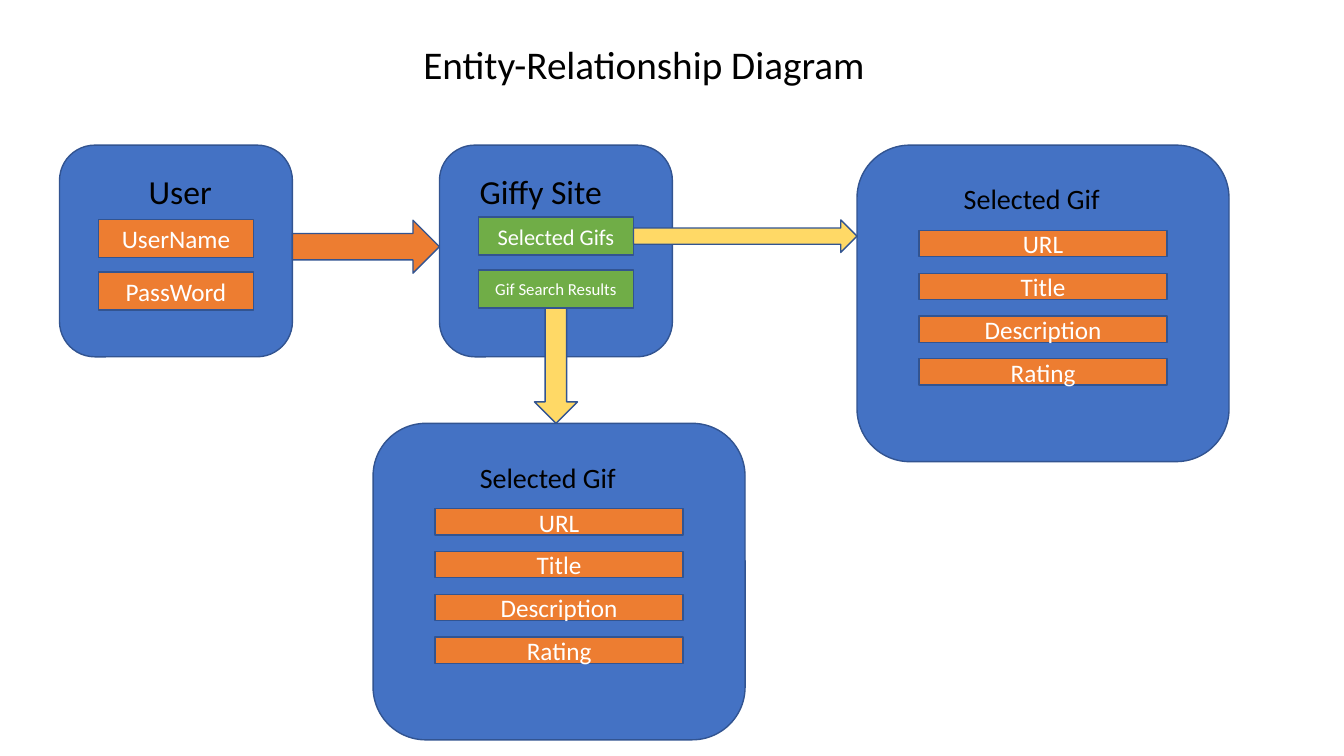
from dataclasses import dataclass

from pptx import Presentation
from pptx.dml.color import RGBColor
from pptx.enum.shapes import MSO_SHAPE
from pptx.enum.text import MSO_ANCHOR, PP_ALIGN
from pptx.util import Inches, Pt

ROUND, RECT = MSO_SHAPE.ROUNDED_RECTANGLE, MSO_SHAPE.RECTANGLE
RIGHT, DOWN = MSO_SHAPE.RIGHT_ARROW, MSO_SHAPE.DOWN_ARROW
LEFT, CENTER = PP_ALIGN.LEFT, PP_ALIGN.CENTER
TOP, MIDDLE = MSO_ANCHOR.TOP, MSO_ANCHOR.MIDDLE

FONT = "Calibri"
BLACK, WHITE, EDGE = "000000", "FFFFFF", "325491"
BLUE, ORANGE, GREEN, YELLOW = "4472C4", "ED7D31", "70AD47", "FFD966"

deck = Presentation()
deck.slide_width, deck.slide_height = Inches(13.33), Inches(7.5)
slide = deck.slides.add_slide(deck.slide_layouts[6])


@dataclass
class Box:
    x: float
    y: float
    w: float
    h: float

    def share(self, x: float, y: float, w: float, h: float) -> "Box":
        """Box inside this one, given as shares of its size."""
        return Box(self.x + x * self.w, self.y + y * self.h, w * self.w, h * self.h)

    def at(self) -> list[int]:
        return [round(v) for v in (self.x, self.y, self.w, self.h)]


PAGE = Box(0, 0, deck.slide_width, deck.slide_height)


@dataclass
class Style:
    """Layout of a card: head box, then rows, as shares of the card."""
    head: tuple[float, float, float, float]
    size: int
    first: float
    pitch: float
    row: float
    fill: str


@dataclass
class Card:
    box: Box
    title: str
    style: Style
    rows: list[tuple[str, int]]

    def field(self, n: int) -> Box:
        s = self.style
        return self.box.share(1 / 6, s.first + n * s.pitch, 2 / 3, s.row)


def color(code: str) -> RGBColor:
    return RGBColor.from_string(code)


def write(shape, text: str, size: int, ink: str, align, anchor) -> None:
    frame = shape.text_frame
    frame.word_wrap = True
    frame.vertical_anchor = anchor
    para = frame.paragraphs[0]
    para.alignment = align
    run = para.add_run()
    run.text = text
    run.font.name, run.font.size = FONT, Pt(size)
    run.font.color.rgb = color(ink)


def label(host, box: Box, text: str, size: int) -> None:
    write(host.add_textbox(*box.at()), text, size, BLACK, LEFT, TOP)


def block(host, kind, box: Box, fill: str):
    shape = host.add_shape(kind, *box.at())
    shape.shadow.inherit = False
    shape.fill.solid()
    shape.fill.fore_color.rgb = color(fill)
    shape.line.color.rgb = color(EDGE)
    shape.line.width = Pt(1)
    return shape


def draw(card: Card) -> None:
    host = slide.shapes.add_group_shape().shapes
    block(host, ROUND, card.box, BLUE)
    label(host, card.box.share(*card.style.head), card.title, card.style.size)
    for n, (text, size) in enumerate(card.rows):
        bar = block(host, RECT, card.field(n), card.style.fill)
        write(bar, text, size, WHITE, CENTER, MIDDLE)


def across(start: float, end: float, mid: float, thick: float, fill: str) -> None:
    block(slide.shapes, RIGHT, Box(start, mid - thick / 2, end - start, thick), fill)


# Card styles and contents
LOGIN = Style((0.34, 0.1, 0.48, 0.24), 24, 0.35, 0.25, 0.18, ORANGE)
SITE = Style((0.13, 0.1, 0.74, 0.24), 24, 0.34, 0.25, 0.18, GREEN)
GIF = Style((0.26, 0.1, 0.47, 0.14), 20, 0.27, 0.135, 0.083, ORANGE)
FACTS = [(name, 18) for name in ("URL", "Title", "Description", "Rating")]
SMALL, LARGE = (0.1733, 0.28), (0.2768, 0.4187)
HIGH = 0.192

user = Card(PAGE.share(0.0443, HIGH, *SMALL), "User", LOGIN,
            [("UserName", 18), ("PassWord", 18)])
site = Card(PAGE.share(0.327, HIGH, *SMALL), "Giffy Site", SITE,
            [("Selected Gifs", 16), ("Gif Search Results", 12)])
pick = Card(PAGE.share(0.6377, HIGH, *LARGE), "Selected Gif", GIF, FACTS)
found = Card(PAGE.share(0.2776, 0.56, *LARGE), "Selected Gif", GIF, FACTS)

# Heading and cards
label(slide.shapes, PAGE.share(0.3076, 0.0467, 0.385, 0.076),
      "Entity-Relationship Diagram", 28)
for card in (user, site, pick, found):
    draw(card)

# Arrows between the cards
across(user.box.x + user.box.w, site.box.x,
       user.box.y + 0.48 * user.box.h, 0.07 * PAGE.h, ORANGE)
gifs, hits = site.field(0), site.field(1)
across(gifs.x + gifs.w, pick.box.x, gifs.y + gifs.h / 2, 0.043 * PAGE.h, YELLOW)
base, wide = hits.y + hits.h, 0.032 * PAGE.w
block(slide.shapes, DOWN,
      Box(hits.x + (hits.w - wide) / 2, base, wide, found.box.y - base), YELLOW)

deck.save("out.pptx")
